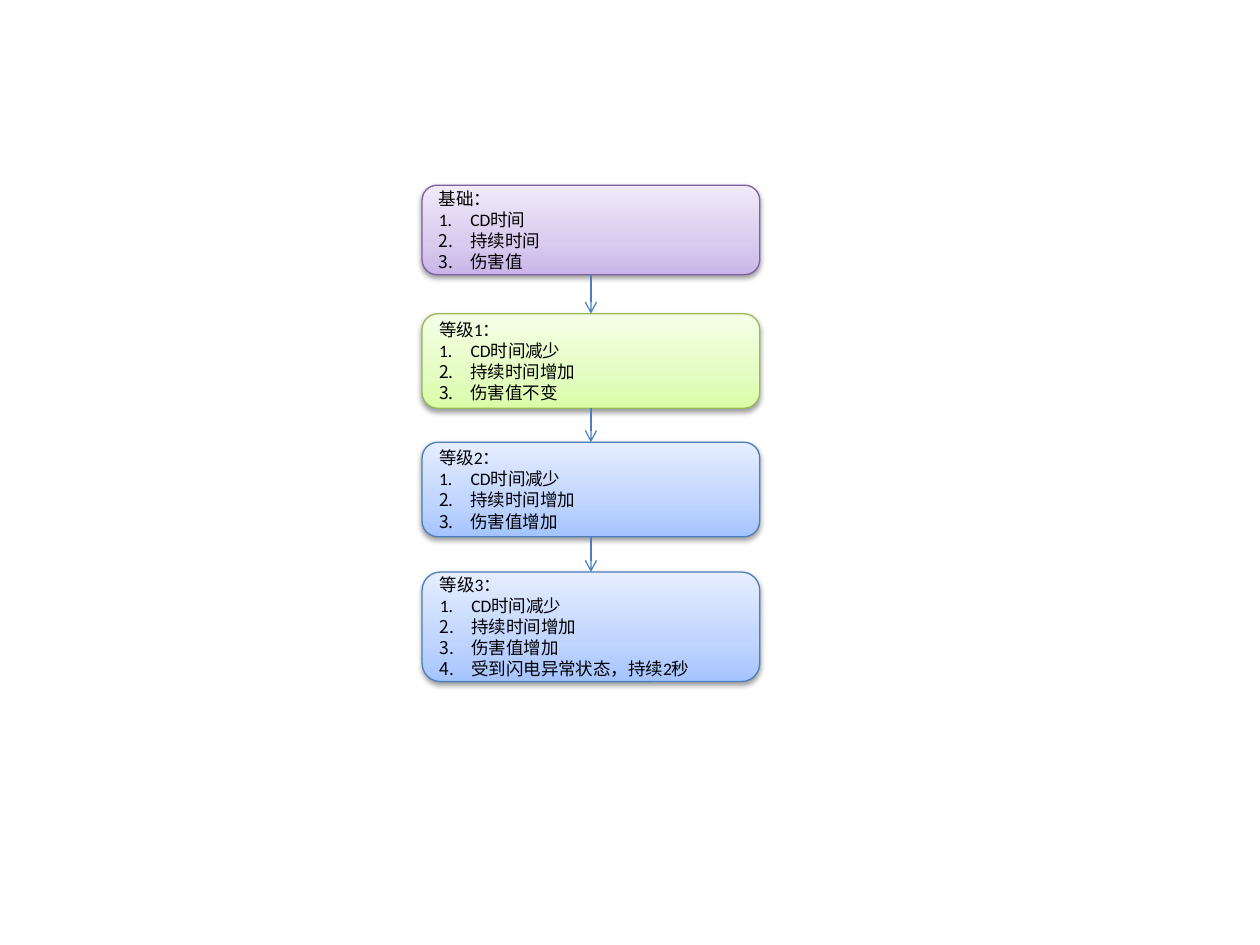
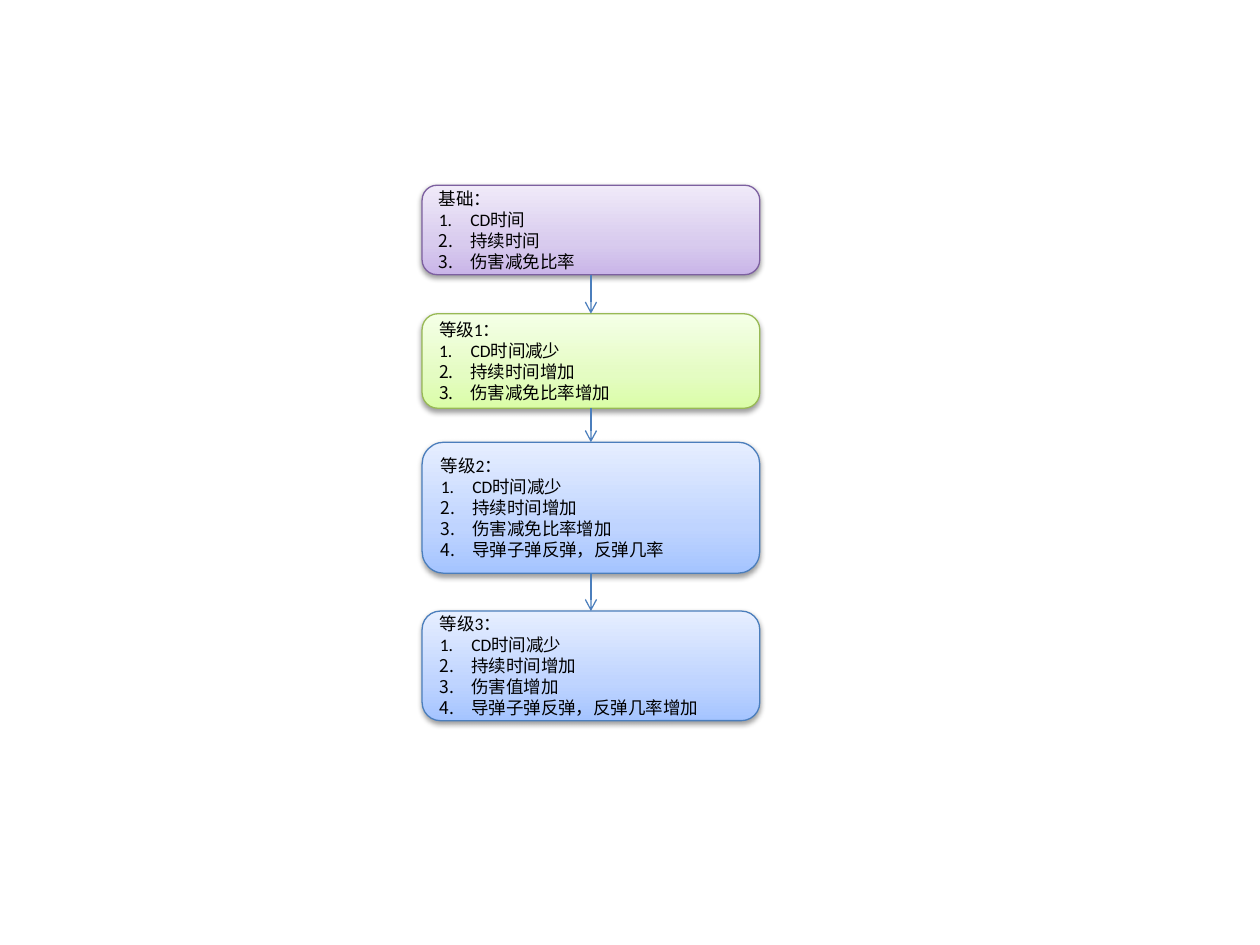
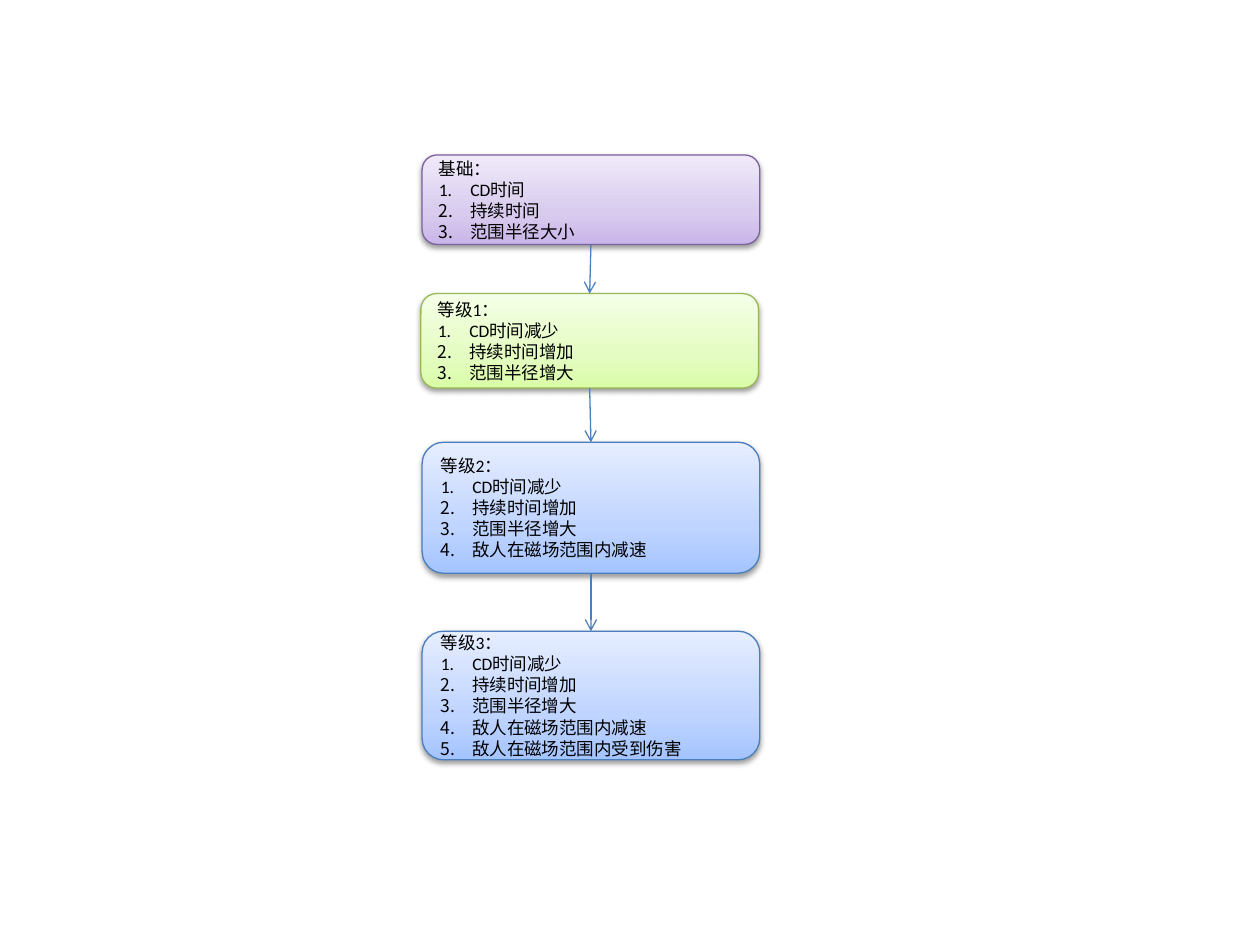
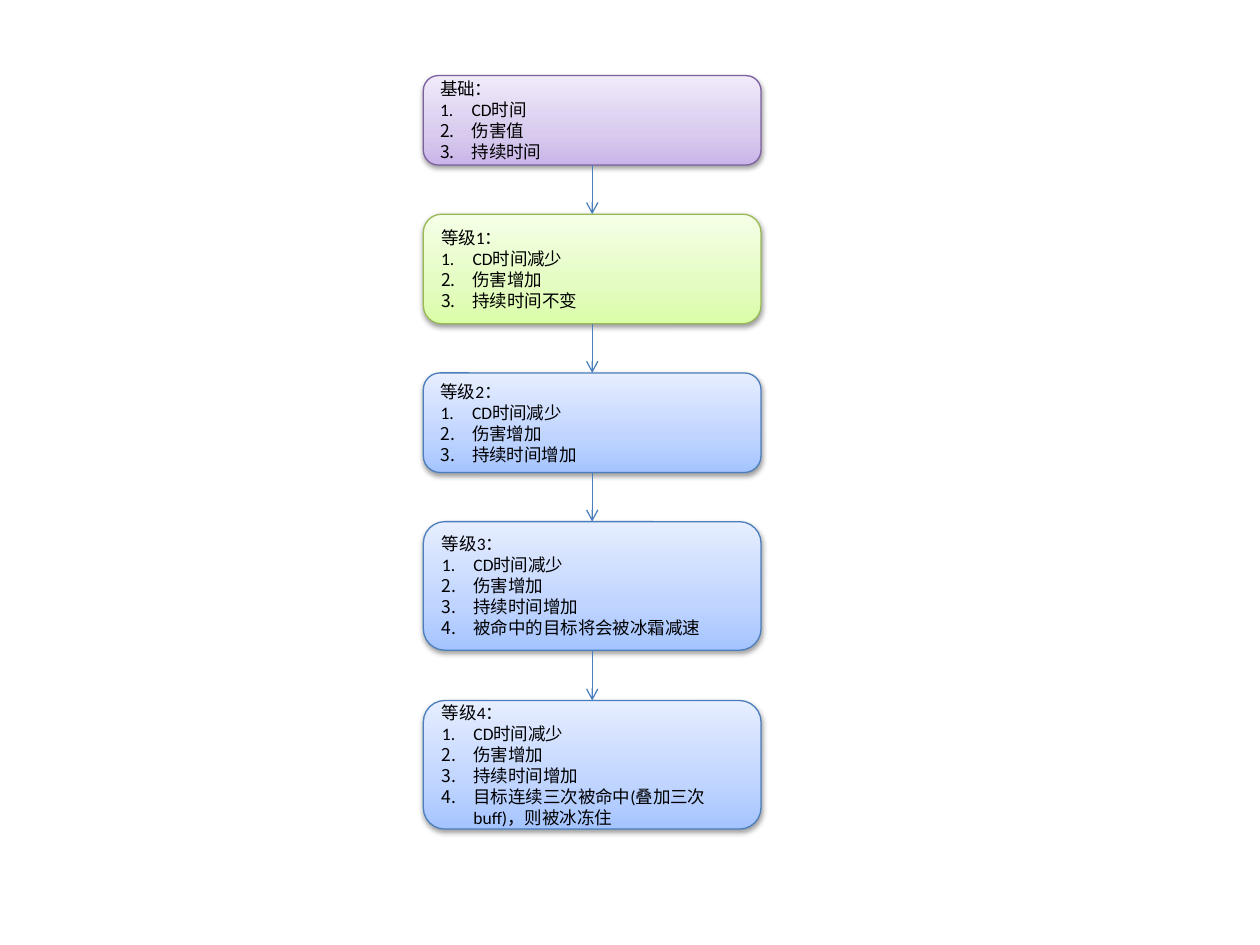
"""Build four skill-upgrade flowcharts, one per slide."""
import copy
from dataclasses import dataclass

import lxml.etree
import pptx
import pptx.dml.color
import pptx.enum.dml
import pptx.enum.shapes
import pptx.enum.text
import pptx.oxml.ns
import pptx.util

Inches = pptx.util.Inches
Pt = pptx.util.Pt
RGB = pptx.dml.color.RGBColor.from_string
qn = pptx.oxml.ns.qn


@dataclass(frozen=True)
class Theme:
    font: str = "Calibri"
    size: float = 10
    text: str = "000000"
    arrow: str = "4B7EBC"
    shadow: str = "000000"
    line_width: float = 0.75
    box_width: float = 2.68
    indent: float = 0.25
    stops: tuple = (0, 0.35, 1)
    base: tuple = ("7D60A0", ("C9B5E8", "D8CBEE", "F0EAF9"))
    first: tuple = ("98B955", ("DAFDA7", "E4FCC2", "F5FFE7"))
    later: tuple = ("4B7EBC", ("A4C4FF", "BFD4FF", "E6EEFF"))


theme = Theme()
palette = [theme.base, theme.first, theme.later]


def add_xml(parent, tag, **attrs):
    """Append a DrawingML child with the given attributes."""
    names = {k: str(v) for k, v in attrs.items()}
    return lxml.etree.SubElement(parent, qn(tag), names)


def add_box(s, left, top, height, colors, heading, items):
    """Add a shaded box with a heading and a numbered list."""
    sp = s.shapes.add_shape(
        pptx.enum.shapes.MSO_SHAPE.ROUNDED_RECTANGLE,
        Inches(left), Inches(top), Inches(theme.box_width), Inches(height))
    line, shades = colors
    sp.fill.gradient()
    sp.fill.gradient_angle = 90
    gs_list = sp.element.spPr.find(qn("a:gradFill")).find(qn("a:gsLst"))
    gs_list.insert(1, copy.deepcopy(gs_list[0]))
    for stop, position, shade in zip(sp.fill.gradient_stops, theme.stops, shades):
        stop.position = position
        stop.color.rgb = RGB(shade)
    sp.line.color.rgb = RGB(line)
    sp.line.width = Pt(theme.line_width)

    sp.shadow.inherit = False
    effects = sp.element.spPr.find(qn("a:effectLst"))
    shadow = add_xml(effects, "a:outerShdw", blurRad=Pt(3.1), dist=Pt(1.6),
                     dir=5400000, rotWithShape=0)
    add_xml(add_xml(shadow, "a:srgbClr", val=theme.shadow), "a:alpha", val=38000)

    tf = sp.text_frame
    tf.word_wrap = True
    tf.vertical_anchor = pptx.enum.text.MSO_ANCHOR.MIDDLE
    for i, text in enumerate([heading, *items]):
        p = tf.add_paragraph() if i else tf.paragraphs[0]
        p.alignment = pptx.enum.text.PP_ALIGN.LEFT
        r = p.add_run()
        r.text = text
        r.font.name = theme.font
        r.font.size = Pt(theme.size)
        r.font.color.rgb = RGB(theme.text)
        if i:
            props = p._p.get_or_add_pPr()
            props.set("marL", str(Inches(theme.indent)))
            props.set("indent", str(-Inches(theme.indent)))
            add_xml(props, "a:buFont", typeface=theme.font)
            add_xml(props, "a:buAutoNum", type="arabicPeriod")
    return sp


flows = [
    [
        (3.35, 1.47, 0.71, "基础：", ["CD时间", "持续时间", "伤害值"]),
        (3.35, 2.49, 0.75, "等级1：", ["CD时间减少", "持续时间增加", "伤害值不变"]),
        (3.35, 3.51, 0.75, "等级2：", ["CD时间减少", "持续时间增加", "伤害值增加"]),
        (3.35, 4.54, 0.87, "等级3：", ["CD时间减少", "持续时间增加", "伤害值增加",
                                     "受到闪电异常状态，持续2秒"]),
    ],
    [
        (3.35, 1.47, 0.71, "基础：", ["CD时间", "持续时间", "伤害减免比率"]),
        (3.35, 2.49, 0.75, "等级1：", ["CD时间减少", "持续时间增加", "伤害减免比率增加"]),
        (3.35, 3.51, 1.04, "等级2：", ["CD时间减少", "持续时间增加", "伤害减免比率增加",
                                     "导弹子弹反弹，反弹几率"]),
        (3.35, 4.85, 0.87, "等级3：", ["CD时间减少", "持续时间增加", "伤害值增加",
                                     "导弹子弹反弹，反弹几率增加"]),
    ],
    [
        (3.35, 1.23, 0.71, "基础：", ["CD时间", "持续时间", "范围半径大小"]),
        (3.34, 2.33, 0.75, "等级1：", ["CD时间减少", "持续时间增加", "范围半径增大"]),
        (3.35, 3.51, 1.04, "等级2：", ["CD时间减少", "持续时间增加", "范围半径增大",
                                     "敌人在磁场范围内减速"]),
        (3.35, 5.01, 1.02, "等级3：", ["CD时间减少", "持续时间增加", "范围半径增大",
                                     "敌人在磁场范围内减速", "敌人在磁场范围内受到伤害"]),
    ],
    [
        (3.36, 0.6, 0.71, "基础：", ["CD时间", "伤害值", "持续时间"]),
        (3.36, 1.7, 0.87, "等级1：", ["CD时间减少", "伤害增加", "持续时间不变"]),
        (3.36, 2.96, 0.79, "等级2：", ["CD时间减少", "伤害增加", "持续时间增加"]),
        (3.36, 4.14, 1.02, "等级3：", ["CD时间减少", "伤害增加", "持续时间增加",
                                     "被命中的目标将会被冰霜减速"]),
        (3.36, 5.56, 1.02, "等级4：", ["CD时间减少", "伤害增加", "持续时间增加",
                                     "目标连续三次被命中(叠加三次buff)，则被冰冻住"]),
    ],
]

prs = pptx.Presentation()
prs.slide_width = Inches(10)
prs.slide_height = Inches(7.5)
blank = prs.slide_layouts.get_by_name("Blank")

for flow in flows:
    s = prs.slides.add_slide(blank)
    boxes = []
    for level, (left, top, height, heading, items) in enumerate(flow):
        colors = palette[min(level, len(palette) - 1)]
        boxes.append(add_box(s, left, top, height, colors, heading, items))
    for upper, lower in zip(boxes, boxes[1:]):
        arrow = s.shapes.add_connector(
            pptx.enum.shapes.MSO_CONNECTOR.STRAIGHT, 0, 0, 0, 0)
        arrow.begin_connect(upper, 2)
        arrow.end_connect(lower, 0)
        arrow.line.color.rgb = RGB(theme.arrow)
        arrow.line.width = Pt(theme.line_width)
        add_xml(arrow.line._get_or_add_ln(), "a:tailEnd", type="arrow")
        add_xml(arrow._element.spPr, "a:effectLst")

prs.save("out.pptx")
